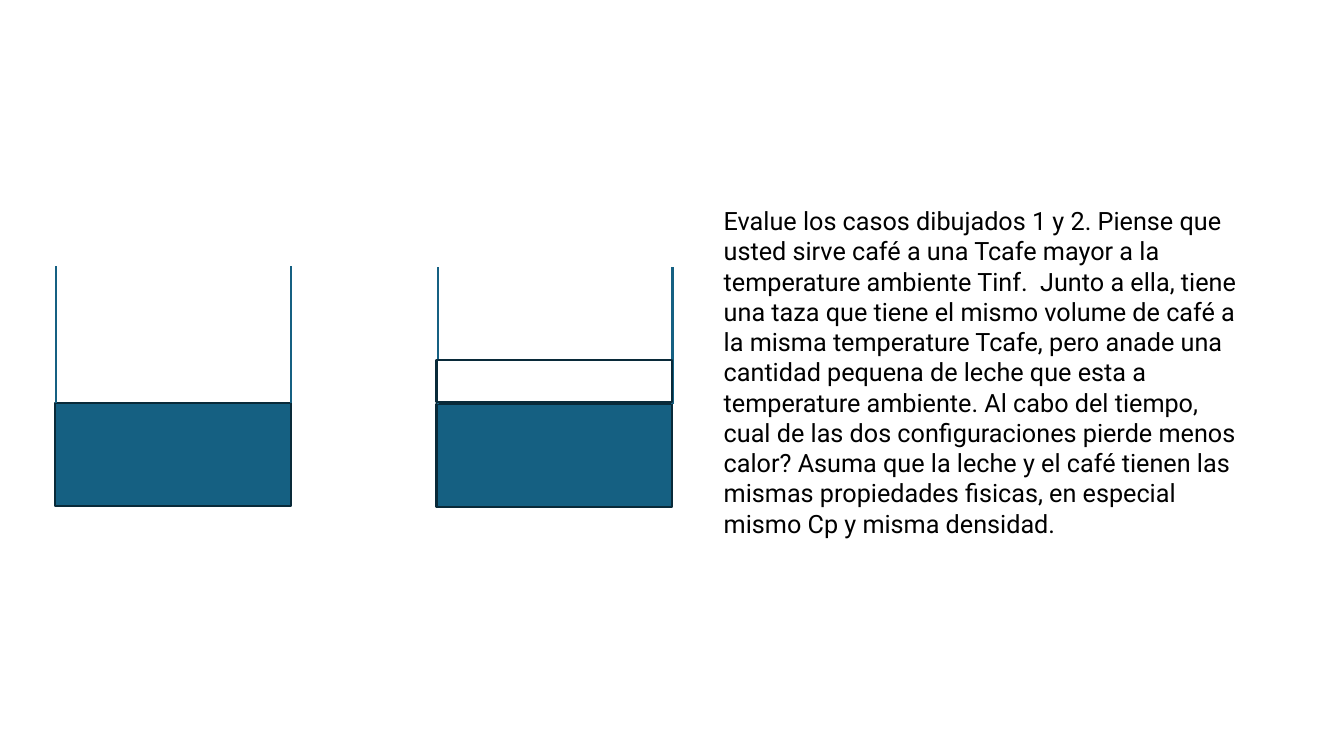
from lxml import etree
from pptx import Presentation
from pptx import util as u
from pptx.dml.color import RGBColor
from pptx.enum import shapes, text
from pptx.oxml.ns import qn

COLORS = {"coffee": "156082", "outline": "092A39", "milk": "FFFFFF", "text": "000000"}
CUP_WIDTH = 2.34
COFFEE_HEIGHT = 1.02
MILK_HEIGHT = 0.42
WALL_HEIGHT = 1.36
QUESTION = (
    "Evalue los casos dibujados 1 y 2. Piense que usted sirve café a una Tcafe mayor "
    "a la temperature ambiente Tinf.  Junto a ella, tiene una taza que tiene el mismo "
    "volume de café a la misma temperature Tcafe, pero anade una cantidad pequena de "
    "leche que esta a temperature ambiente. Al cabo del tiempo, cual de las dos "
    "configuraciones pierde menos calor? Asuma que la leche y el café tienen las mismas "
    "propiedades fisicas, en especial mismo Cp y misma densidad."
)

presentation = Presentation()
presentation.slide_width = u.Inches(13.33)
presentation.slide_height = u.Inches(7.5)
slide = presentation.slides.add_slide(presentation.slide_layouts[6])


def add_liquid(left, top, height, color):
    shape = slide.shapes.add_shape(
        shapes.MSO_SHAPE.RECTANGLE,
        u.Inches(left), u.Inches(top), u.Inches(CUP_WIDTH), u.Inches(height),
    )
    shape.shadow.inherit = False
    shape.fill.solid()
    shape.fill.fore_color.rgb = RGBColor.from_string(COLORS[color])
    shape.line.color.rgb = RGBColor.from_string(COLORS["outline"])
    shape.line.width = u.Pt(1.5)


for cup_left, coffee_top, has_milk in [(0.55, 4, False), (4.33, 4.01, True)]:
    add_liquid(cup_left, coffee_top, COFFEE_HEIGHT, "coffee")
    for wall_x in (cup_left + 0.01, cup_left + CUP_WIDTH):
        wall = slide.shapes.add_connector(
            shapes.MSO_CONNECTOR.STRAIGHT,
            u.Inches(wall_x), u.Inches(coffee_top),
            u.Inches(wall_x), u.Inches(coffee_top - WALL_HEIGHT),
        )
        wall.line.color.rgb = RGBColor.from_string(COLORS["coffee"])
        wall.line.width = u.Pt(1.5)
        etree.SubElement(wall._element.spPr, qn("a:effectLst"))
    if has_milk:
        add_liquid(cup_left, coffee_top - 0.44, MILK_HEIGHT, "milk")

question_box = slide.shapes.add_textbox(
    u.Inches(7.08), u.Inches(1.99), u.Inches(5.43), u.Inches(3.43)
)
text_frame = question_box.text_frame
text_frame.word_wrap = True
text_frame.auto_size = text.MSO_AUTO_SIZE.SHAPE_TO_FIT_TEXT
text_frame.text = QUESTION
font = text_frame.paragraphs[0].runs[0].font
font.name = "Roboto"
font.size = u.Pt(18)
font.color.rgb = RGBColor.from_string(COLORS["text"])

presentation.save("out.pptx")
